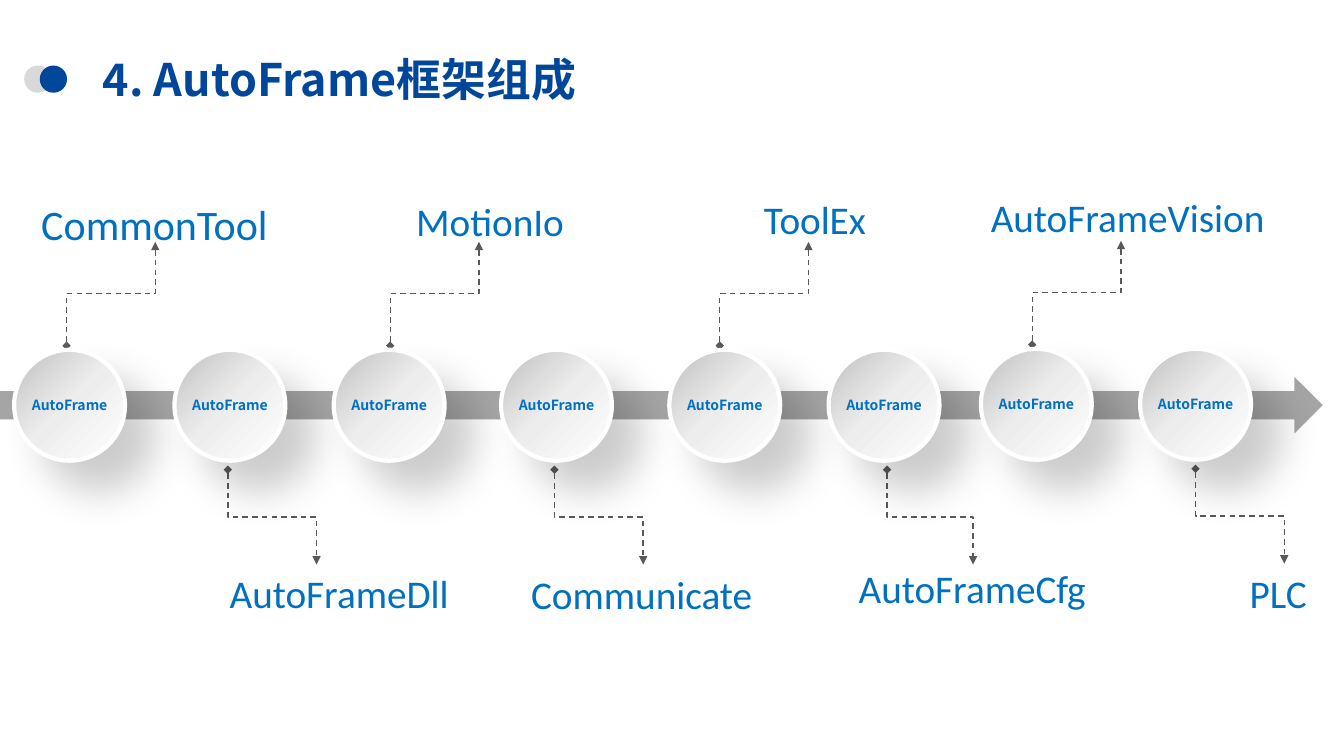
from dataclasses import dataclass
from typing import NamedTuple

from lxml.etree import SubElement
from pptx import Presentation
from pptx.dml.color import RGBColor
from pptx.enum.dml import MSO_LINE_DASH_STYLE as Dash
from pptx.enum.shapes import MSO_CONNECTOR_TYPE as Connector, MSO_SHAPE as Shape
from pptx.enum.text import MSO_ANCHOR as Anchor, MSO_AUTO_SIZE as AutoSize, PP_ALIGN as Align
from pptx.oxml.ns import qn
from pptx.util import Inches, Pt


@dataclass(frozen=True)
class Theme:
    navy: str = "00479B"
    blue: str = "0070C0"
    pale_grey: str = "D9D9D9"
    arrow_grey: str = "A5A5A5"
    link_grey: str = "595959"
    ring: str = "FFFFFF"
    shadow: str = "000000"
    sphere: tuple = ((0, "C0C0C0"), (49, "EDEDED"), (100, "FFFFFF"))
    heading_font: str = "Noto Sans CJK SC"
    label_font: str = "Calibri"
    title_size: int = 32
    first_label_size: int = 30
    label_size: int = 28
    sphere_size: int = 10


class Module(NamedTuple):
    """One stop on the timeline; places are in grid columns and rows."""
    name: str
    sphere_left: float
    link_left: float
    label_left: float
    label_top: float
    label_width: float = 20.7
    link_width: float = 6.6
    lift: float = 0


THEME = Theme()
SLIDE_WIDTH, SLIDE_HEIGHT = Inches(13.33), Inches(7.5)
COLUMNS = ROWS = 100
SPHERE_TOP, SPHERE_WIDTH, SPHERE_HEIGHT = 46.27, 8.25, 14.67
LINK_ABOVE, LINK_BELOW = (45.73, 32), (62.13, 74.67)
MODULES = [
    Module("CommonTool", 1.05, 4.95, 2.33, 23.6),
    Module("AutoFrameDll", 12.98, 16.95, 16.35, 74.67),
    Module("MotionIo", 24.83, 29.03, 30.23, 25.47),
    Module("Communicate", 37.28, 41.25, 38.78, 74.8),
    Module("ToolEx", 49.8, 53.55, 56.1, 25.2, label_width=10.8),
    Module("AutoFrameCfg", 61.65, 66, 63.15, 74, link_width=6.4),
    Module("AutoFrameVision", 72.98, 76.8, 72.98, 24.93, label_width=22.43, lift=0.13),
    Module("PLC", 84.83, 88.95, 92.25, 74.67, label_width=6.15, lift=0.13),
]


def column(count):
    return round(SLIDE_WIDTH * count / COLUMNS)


def row(count):
    return round(SLIDE_HEIGHT * count / ROWS)


def grid_box(left, top, width, height):
    return column(left), row(top), column(width), row(height)


def apply_format(target, values):
    for name, value in values.items():
        setattr(target, name, value)


def write_text(shape, text, font_name, size, color, bold=False, align=Align.LEFT, **frame_format):
    frame = shape.text_frame
    apply_format(frame, {"word_wrap": True, **frame_format})
    paragraph = frame.paragraphs[0]
    paragraph.alignment = align
    run = paragraph.add_run()
    run.text = text
    apply_format(run.font, {"name": font_name, "size": Pt(size), "bold": bold})
    run.font.color.rgb = RGBColor.from_string(color)
    SubElement(run.font._element, qn("a:ea"), typeface=font_name)
    return paragraph


def add_plain_shape(slide, kind, box, color):
    shape = slide.shapes.add_shape(kind, *box)
    shape.shadow.inherit = False
    shape.fill.solid()
    shape.fill.fore_color.rgb = RGBColor.from_string(color)
    shape.line.fill.background()
    return shape


def shade_sphere(shape):
    """Give a disc its three-stop gradient and its soft diagonal shadow."""
    shape.fill.gradient()
    shape.fill.gradient_angle = 315
    properties = shape._element.spPr
    stops = properties.find(f"{qn('a:gradFill')}/{qn('a:gsLst')}")
    for stop in list(stops):
        stops.remove(stop)
    for percent, color in THEME.sphere:
        stop = SubElement(stops, qn("a:gs"), pos=str(percent * 1000))
        SubElement(stop, qn("a:srgbClr"), val=color)
    shadow = SubElement(properties.find(qn("a:effectLst")), qn("a:outerShdw"),
                        blurRad=str(Pt(29)), dist=str(Pt(29)), dir=str(45 * 60000),
                        algn="tl", rotWithShape="0")
    tint = SubElement(shadow, qn("a:srgbClr"), val=THEME.shadow)
    SubElement(tint, qn("a:alpha"), val="20000")


def add_sphere(slide, module):
    box = grid_box(module.sphere_left, SPHERE_TOP - module.lift, SPHERE_WIDTH, SPHERE_HEIGHT)
    sphere = add_plain_shape(slide, Shape.OVAL, box, THEME.ring)
    shade_sphere(sphere)
    sphere.line.color.rgb = RGBColor.from_string(THEME.ring)
    sphere.line.width = Pt(3)
    write_text(sphere, "AutoFrame", THEME.heading_font, THEME.sphere_size, THEME.blue,
               bold=True, align=Align.CENTER, vertical_anchor=Anchor.MIDDLE,
               margin_left=0, margin_right=0)


def add_link(slide, module, above):
    """Draw an elbow that leaves its sphere vertically, as a turned connector."""
    start, end = (row(y - module.lift) for y in (LINK_ABOVE if above else LINK_BELOW))
    half_length, half_width = abs(end - start) // 2, column(module.link_width) // 2
    center_x, center_y = column(module.link_left) + half_width, (start + end) // 2
    drop = half_width if above else -half_width
    link = slide.shapes.add_connector(Connector.ELBOW, center_x + half_length, center_y + drop,
                                      center_x - half_length, center_y - drop)
    properties = link._element.spPr
    properties.find(qn("a:xfrm")).set("rot", str((90 if above else 270) * 60000))
    link.line.color.rgb = RGBColor.from_string(THEME.link_grey)
    apply_format(link.line, {"width": Pt(1), "dash_style": Dash.DASH})
    line = properties.find(qn("a:ln"))
    for tag, kind in (("a:headEnd", "diamond"), ("a:tailEnd", "triangle")):
        SubElement(line, qn(tag), type=kind)
    SubElement(properties, qn("a:effectLst"))


def add_label(slide, module, size, height, line_spacing):
    box = grid_box(module.label_left, module.label_top, module.label_width, height)
    label = slide.shapes.add_textbox(*box)
    paragraph = write_text(label, module.name, THEME.label_font, size, THEME.blue,
                           auto_size=AutoSize.SHAPE_TO_FIT_TEXT)
    paragraph.line_spacing = line_spacing


def add_title(slide, text):
    for left, color in ((1.8, THEME.pale_grey), (2.96, THEME.navy)):
        add_plain_shape(slide, Shape.OVAL, grid_box(left, 8.67, 2.03, 3.6), color)
    title = slide.shapes.title
    box = grid_box(6.9, 5.33, 86.27, 10.27)
    apply_format(title, dict(zip(("left", "top", "width", "height"), box)))
    write_text(title, text, THEME.heading_font, THEME.title_size, THEME.navy, bold=True,
               vertical_anchor=Anchor.MIDDLE, auto_size=AutoSize.NONE)


def main():
    presentation = Presentation()
    apply_format(presentation, {"slide_width": SLIDE_WIDTH, "slide_height": SLIDE_HEIGHT})
    slide = presentation.slides.add_slide(presentation.slide_layouts[5])
    add_title(slide, "4. AutoFrame框架组成")
    for index, module in enumerate(MODULES):
        add_link(slide, module, above=index % 2 == 0)
    add_plain_shape(slide, Shape.RIGHT_ARROW, grid_box(0, 49.87, 98.42, 7.47), THEME.arrow_grey)
    for module in MODULES:
        add_sphere(slide, module)
    first, *others = MODULES
    add_label(slide, first, THEME.first_label_size, height=13.6, line_spacing=1.3)
    for module in others:
        add_label(slide, module, THEME.label_size, height=7.6, line_spacing=1.0)
    presentation.save("out.pptx")


if __name__ == "__main__":
    main()
